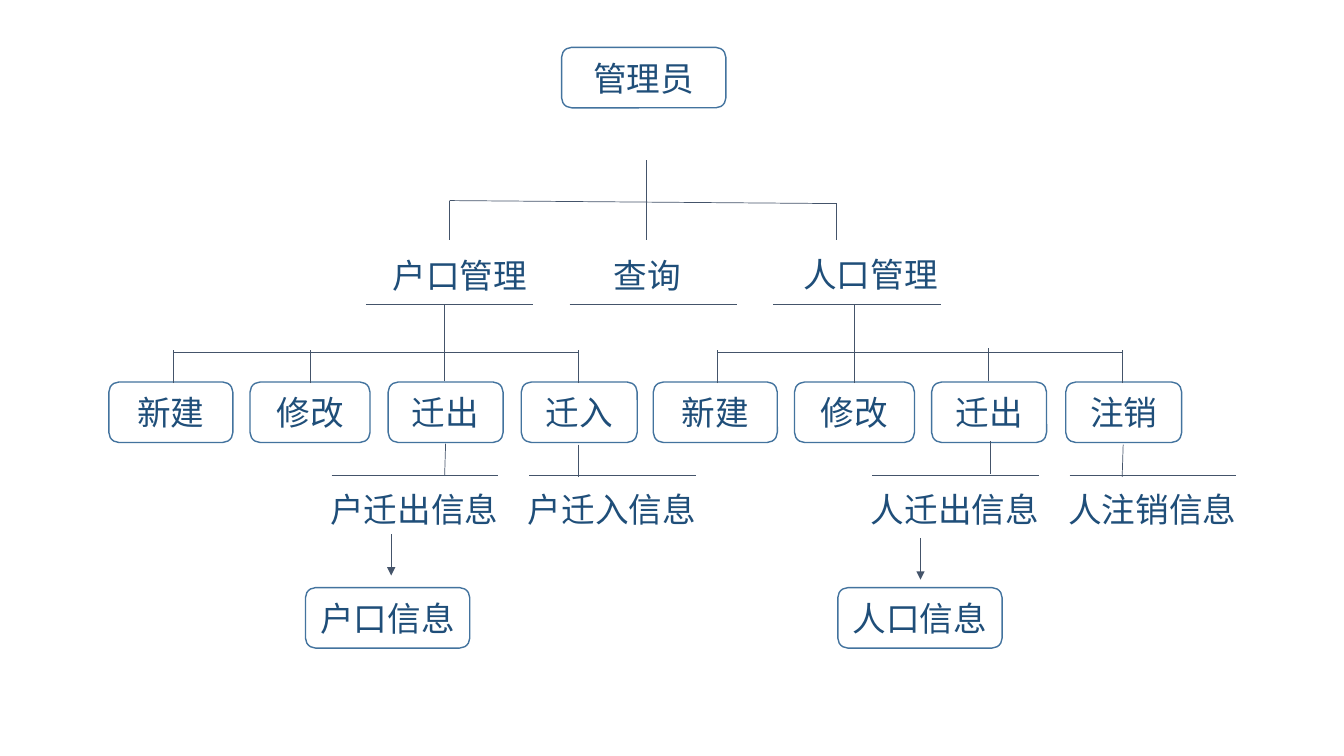
import pptx
import pptx.util
import pptx.dml.color
import pptx.enum.shapes
import pptx.enum.text
import pptx.oxml
import pptx.oxml.ns
from pptx.util import Inches


def color(code):
    """Turn a hex string into a colour."""
    return pptx.dml.color.RGBColor.from_string(code)


def add_element(parent, tag, **attributes):
    """Append a DrawingML element to a parent element."""
    element = parent.makeelement(pptx.oxml.ns.qn(tag), attributes)
    parent.append(element)
    return element


class Chart:
    """Style and current slide of the organisation tree."""

    font = "Noto Sans CJK SC"
    text_color = "1F4E79"
    border_color = "43739E"
    line_color = "44546A"

    def __init__(self, page):
        """Remember the slide to draw on."""
        self.page = page

    def add_text(self, frame, text, anchor):
        """Put one centred run into a text frame."""
        frame.word_wrap = True
        frame.vertical_anchor = anchor
        para = frame.paragraphs[0]
        para.alignment = pptx.enum.text.PP_ALIGN.CENTER
        span = para.add_run()
        span.text = text
        span.font.size = pptx.util.Pt(24)
        span.font.name = self.font
        span.font.color.rgb = color(self.text_color)
        add_element(span._r.get_or_add_rPr(), "a:ea", typeface=self.font)

    def box(self, text, left, top, width):
        """Draw a rounded outline box with centred text."""
        box = self.page.shapes.add_shape(
            pptx.enum.shapes.MSO_SHAPE.ROUNDED_RECTANGLE,
            Inches(left), Inches(top), Inches(width), Inches(0.6))
        box.shadow.inherit = False
        box.fill.background()
        box.line.color.rgb = color(self.border_color)
        box.line.width = pptx.util.Pt(1)
        self.add_text(box.text_frame, text, pptx.enum.text.MSO_ANCHOR.MIDDLE)

    def label(self, text, left, top, width, height):
        """Draw a plain text label."""
        label = self.page.shapes.add_textbox(
            Inches(left), Inches(top), Inches(width), Inches(height))
        self.add_text(label.text_frame, text, pptx.enum.text.MSO_ANCHOR.TOP)

    def line(self, x1, y1, x2, y2, arrow=False):
        """Draw a thin line, with an arrowhead at its end if asked."""
        line = self.page.shapes.add_connector(
            pptx.enum.shapes.MSO_CONNECTOR.STRAIGHT,
            Inches(x1), Inches(y1), Inches(x2), Inches(y2))
        line.line.color.rgb = color(self.line_color)
        line.line.width = pptx.util.Pt(0.5)
        properties = line._element.spPr
        if arrow:
            outline = properties.find(pptx.oxml.ns.qn("a:ln"))
            add_element(outline, "a:tailEnd", type="triangle")
        add_element(properties, "a:effectLst")

    def branch(self, actions, drops, trunk):
        """Draw a row of action boxes hanging from one trunk."""
        for (text, left, width), (x, top) in zip(actions, drops):
            self.box(text, left, 3.79, width)
            self.line(x, top + 0.33, x, top)
        self.line(drops[0][0], 3.5, drops[-1][0], 3.5)
        self.line(trunk, 3.02, trunk, 3.53)


deck = pptx.Presentation()
deck.slide_width = Inches(13.33)
deck.slide_height = Inches(7.5)
chart = Chart(deck.slides.add_slide(deck.slide_layouts[6]))

# Root and its three modules
chart.box("管理员", 5.57, 0.47, 1.63)
chart.line(6.41, 1.59, 6.41, 2.02)
chart.line(4.46, 1.99, 8.3, 2.02)
for x, top in ((4.46, 1.99), (6.41, 2.02), (8.3, 2.02)):
    chart.line(x, top, x, 2.38)

modules = (("户口管理", 3.72, 2.48, 1.68, 3.63),
           ("查询", 5.58, 2.48, 1.68, 5.65),
           ("人口管理", 7.67, 2.47, 1.93, 7.67))
for text, left, top, width, rule in modules:
    chart.label(text, left, top, width, 0.5)
    chart.line(rule, 3.02, rule + 1.66, 3.02)

# Actions of the household and the person modules
chart.branch(
    (("新建", 1.08, 1.23), ("修改", 2.48, 1.19),
     ("迁出", 3.85, 1.14), ("迁入", 5.17, 1.15)),
    ((1.72, 3.47), (3.08, 3.47), (4.41, 3.45), (5.74, 3.47)), 4.41)
chart.branch(
    (("新建", 6.48, 1.23), ("修改", 7.88, 1.19),
     ("迁出", 9.24, 1.14), ("注销", 10.57, 1.15)),
    ((7.12, 3.47), (8.47, 3.47), (9.8, 3.45), (11.13, 3.47)), 8.47)

# Records kept by the actions
records = (("户迁出信息", 3.04, 4.42, 4.41, 4.4),
           ("户迁入信息", 5.0, 5.74, 5.74, 4.41),
           ("人迁出信息", 8.4, 9.82, 9.82, 4.38),
           ("人注销信息", 10.36, 11.14, 11.13, 4.41))
for text, left, start, end, top in records:
    chart.label(text, left, 4.8, 2.14, 0.91)
    chart.line(left + 0.25, 4.72, left + 1.9, 4.72)
    chart.line(start, top, end, top + 0.32)

# Final information stores
for text, left, x, top in (("户口信息", 3.03, 3.88, 5.3),
                           ("人口信息", 8.31, 9.13, 5.34)):
    chart.line(x, top, x, top + 0.41, arrow=True)
    chart.box(text, left, 5.83, 1.63)

deck.save("out.pptx")
